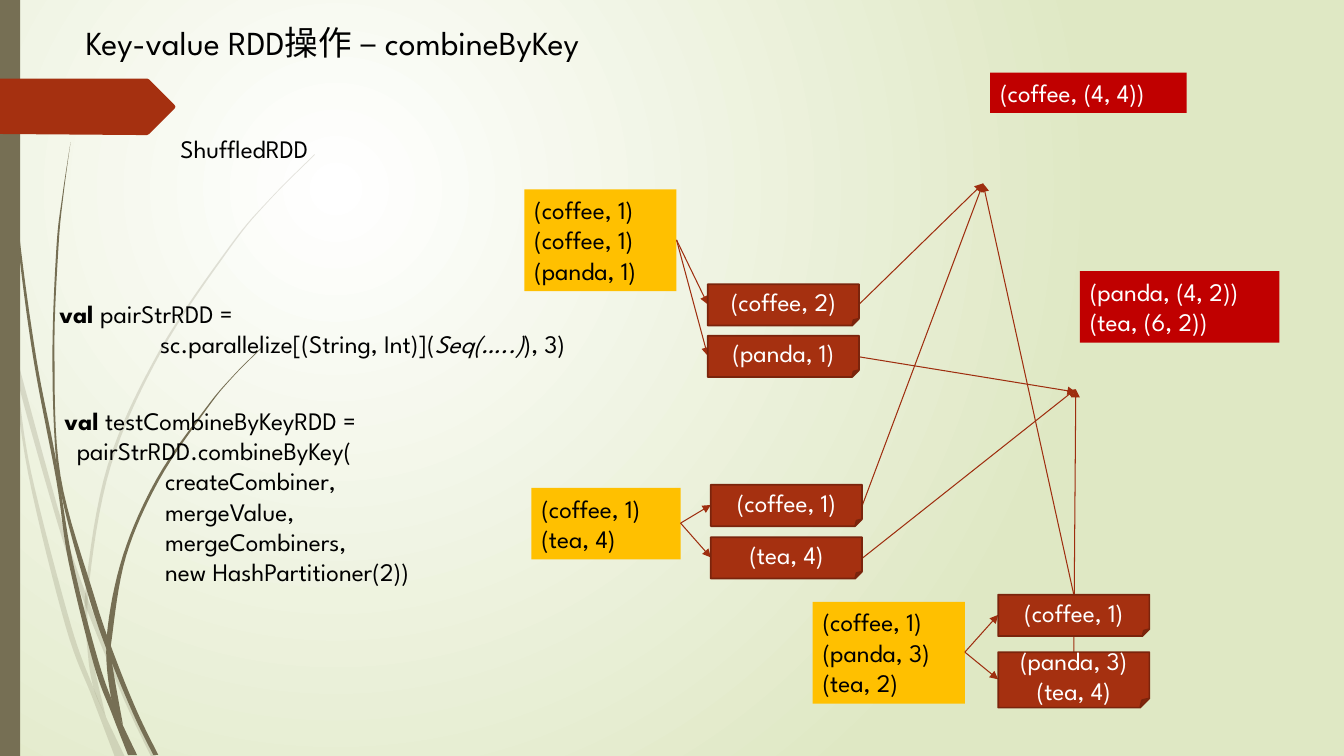
from lxml.etree import SubElement
from pptx import Presentation
from pptx.dml.color import RGBColor
from pptx.enum.shapes import MSO_CONNECTOR, MSO_SHAPE
from pptx.enum.text import MSO_ANCHOR, MSO_AUTO_SIZE, PP_ALIGN
from pptx.oxml.ns import qn
from pptx.util import Pt

SCALE = 9144
FONT = "League Spartan"
HUES = {
    "white": "FFFFFF", "black": "000000", "green": "DFE8C4", "stem": "766F54",
    "rust": "A53010", "edge": "7A240C", "line": "9E2E0F",
    "gold": "FFC000", "red": "C00000",
}

PALE = [
    ([(0, 299), (10, 344), (28, 470), (65, 621), (92, 693), (114, 751)],
     [(124, 751), (105, 711), (93, 683), (70, 619), (31, 469), (17, 376), (9, 322), (0, 282)]),
    ([(14, 345), (17, 376), (58, 522), (84, 599), (123, 694), (150, 751)],
     [(155, 751), (127, 692), (92, 607), (62, 520), (14, 345)]),
    ([(312, 153), (268, 197), (228, 244), (158, 348), (107, 461), (85, 584), (87, 646),
      (93, 683), (105, 711)],
     [(105, 711), (91, 646), (88, 584), (110, 462), (160, 349), (229, 245), (268, 198), (312, 154)]),
]
DARK = [
    ([(3, 0), (4, 48), (7, 110), (17, 233), (33, 355), (56, 477), (68, 557), (93, 659),
      (111, 708), (127, 749)],
     [(136, 749), (116, 706), (98, 657), (72, 556), (55, 453), (36, 355), (19, 232), (8, 109),
      (5, 48), (4, 0)]),
    ([(70, 141), (62, 193), (56, 245), (52, 349), (55, 449), (64, 505), (88, 592), (106, 645),
      (132, 708), (152, 749)],
     [(157, 749), (136, 706), (113, 649), (93, 590), (60, 472), (54, 349), (58, 245), (63, 193),
      (70, 141)]),
    ([(260, 344), (231, 373), (204, 405), (156, 474), (122, 551), (106, 631), (110, 691),
      (122, 719)],
     [(122, 719), (111, 656), (111, 633), (125, 552), (158, 476), (205, 406), (231, 374),
      (261, 344)]),
]
TAG = [(0, 78), (146, 78), (148, 79), (173, 104), (174, 106), (173, 108), (148, 133),
       (146, 134), (136, 134), (0, 133)]

COFFEE, OTHER = (975, 182), (1067, 386)
PARTS = [
    ((520, 188, 151, 101), ["(coffee, 1)", "(coffee, 1)", "(panda, 1)"],
     [((702, 282, 150, 41), ["(coffee, 2)"], (852, 302), COFFEE),
      ((702, 333, 150, 41), ["(panda, 1)"], (852, 354), (1067, 389))]),
    ((527, 484, 148, 71), ["(coffee, 1)", "(tea, 4)"],
     [((705, 481, 150, 41), ["(coffee, 1)"], (855, 502), COFFEE),
      ((705, 533, 150, 41), ["(tea, 4)"], (855, 554), OTHER)]),
    ((806, 597, 151, 101), ["(coffee, 1)", "(panda, 3)", "(tea, 2)"],
     [((990, 590, 150, 41), ["(coffee, 1)"], (1065, 590), COFFEE),
      ((990, 647, 150, 55), ["(panda, 3)", "(tea, 4)"], (1065, 647), OTHER)]),
]


def tint(name):
    return RGBColor.from_string(HUES[name])


def write(frame, lines, size=18, hue="black", align=PP_ALIGN.LEFT):
    for row, line in enumerate(lines):
        para = frame.paragraphs[0] if row == 0 else frame.add_paragraph()
        para.alignment = align
        if isinstance(line, str):
            line = (0, [(line, "")])
        inset, runs = line
        if inset:
            para._p.get_or_add_pPr().set("marL", str(inset * SCALE))
        for words, style in runs:
            run = para.add_run()
            run.text = words
            run.font.name = FONT
            run.font.size = Pt(size)
            run.font.bold = style == "b"
            run.font.italic = style == "i"
            run.font.color.rgb = tint(hue)


def smooth(dots, steps=8):
    ends = [dots[0], *dots, dots[-1]]
    curve = [dots[0]]
    for a, b, c, d in zip(ends, ends[1:], ends[2:], ends[3:]):
        for step in range(1, steps + 1):
            t = step / steps
            curve.append(tuple(
                (2 * q + (r - p) * t + (2 * p - 5 * q + 4 * r - s) * t ** 2
                 + (3 * q - p - 3 * r + s) * t ** 3) / 2
                for p, q, r, s in zip(a, b, c, d)))
    return curve


class Board:
    def __init__(self, deck):
        self.slide = deck.slides.add_slide(deck.slide_layouts[6])
        self.shapes = self.slide.shapes

    def glow(self, inner, outer):
        fill = self.slide.background.fill
        fill.gradient()
        for stop, hue, place in zip(fill.gradient_stops, (inner, outer), (0, 1)):
            stop.color.rgb = tint(hue)
            stop.position = place
        grad = self.slide._element.find(".//" + qn("a:gradFill"))
        grad.remove(grad.find(qn("a:lin")))
        ring = SubElement(grad, qn("a:path"), path="circle")
        SubElement(ring, qn("a:fillToRect"), l="50000", t="50000", r="100000", b="100000")

    def paint(self, shape, fill, line=None):
        shape.shadow.inherit = False
        shape.fill.solid()
        shape.fill.fore_color.rgb = tint(fill)
        if line:
            shape.line.color.rgb = tint(line)
            shape.line.width = Pt(1.25)
        else:
            shape.line.fill.background()
        return shape

    def block(self, place, fill, line=None, kind=MSO_SHAPE.RECTANGLE):
        shape = self.shapes.add_shape(kind, *(n * SCALE for n in place))
        return self.paint(shape, fill, line)

    def form(self, dots, fill, alpha=100):
        dots = [(round(x * SCALE), round(y * SCALE)) for x, y in dots]
        pen = self.shapes.build_freeform(*dots[0], scale=1.0)
        pen.add_line_segments(dots[1:], close=True)
        shape = self.paint(pen.convert_to_shape(), fill)
        if alpha < 100:
            hue = shape._element.spPr.find(qn("a:solidFill"))[0]
            SubElement(hue, qn("a:alpha"), val=str(alpha * 1000))

    def label(self, place, lines, fill=None, **style):
        if fill:
            shape = self.block(place, fill)
        else:
            shape = self.shapes.add_textbox(*(n * SCALE for n in place))
        frame = shape.text_frame
        frame.word_wrap = False
        frame.auto_size = MSO_AUTO_SIZE.SHAPE_TO_FIT_TEXT
        frame.vertical_anchor = MSO_ANCHOR.TOP
        write(frame, lines, **style)

    def card(self, place, lines):
        shape = self.block(place, "rust", "edge", MSO_SHAPE.FOLDED_CORNER)
        shape.text_frame.word_wrap = True
        shape.text_frame.vertical_anchor = MSO_ANCHOR.MIDDLE
        write(shape.text_frame, lines, hue="white", align=PP_ALIGN.CENTER)

    def arrow(self, start, end):
        ends = (n * SCALE for n in (*start, *end))
        link = self.shapes.add_connector(MSO_CONNECTOR.STRAIGHT, *ends)
        link.line.color.rgb = tint("line")
        link.line.width = Pt(0.75)
        SubElement(link.line._get_or_add_ln(), qn("a:tailEnd"), type="triangle")
        SubElement(link._element.spPr, qn("a:effectLst"))


def main():
    deck = Presentation()
    deck.slide_width, deck.slide_height = 1333 * SCALE, 750 * SCALE
    board = Board(deck)
    board.glow("white", "green")
    for stems, alpha in ((PALE, 20), (DARK, 100)):
        for left, right in stems:
            board.form(smooth(left) + smooth(right), "stem", alpha)
    board.block((0, 0, 20, 750), "stem")
    board.form(TAG, "rust")

    board.label((169, 127, 171, 40), ["ShuffledRDD"])
    board.label((75, 17, 609, 50), ["Key-value RDD操作 – combineByKey"], size=24)
    board.label((982, 72, 195, 40), ["(coffee, (4, 4))"], "red", hue="white")
    board.label((1071, 269, 198, 71), ["(panda, (4, 2))", "(tea, (6, 2))"], "red", hue="white")

    for place, lines, cards in PARTS:
        board.label(place, lines, "gold")
        x, y, w, h = place
        for spot, words, start, goal in cards:
            board.arrow(start, goal)
            left, top, wide, high = spot
            board.arrow((x + w, y + h // 2), (left, top + high // 2))
    for place, lines, cards in PARTS:
        for spot, words, start, goal in cards:
            board.card(spot, words)

    steps = ["createCombiner,", "mergeValue,", "mergeCombiners,", "new HashPartitioner(2))"]
    board.label((54, 397, 406, 192), [
        (0, [("val ", "b"), ("testCombineByKeyRDD =", "")]),
        "  pairStrRDD.combineByKey(",
        *((100, [(step, "")]) for step in steps),
    ])
    board.label((49, 291, 584, 71), [
        (0, [("val ", "b"), ("pairStrRDD =", "")]),
        (100, [("sc.parallelize[(String, Int)](", ""), ("Seq(…..)", "i"), ("), 3)", "")]),
    ])
    deck.save("out.pptx")


if __name__ == "__main__":
    main()
